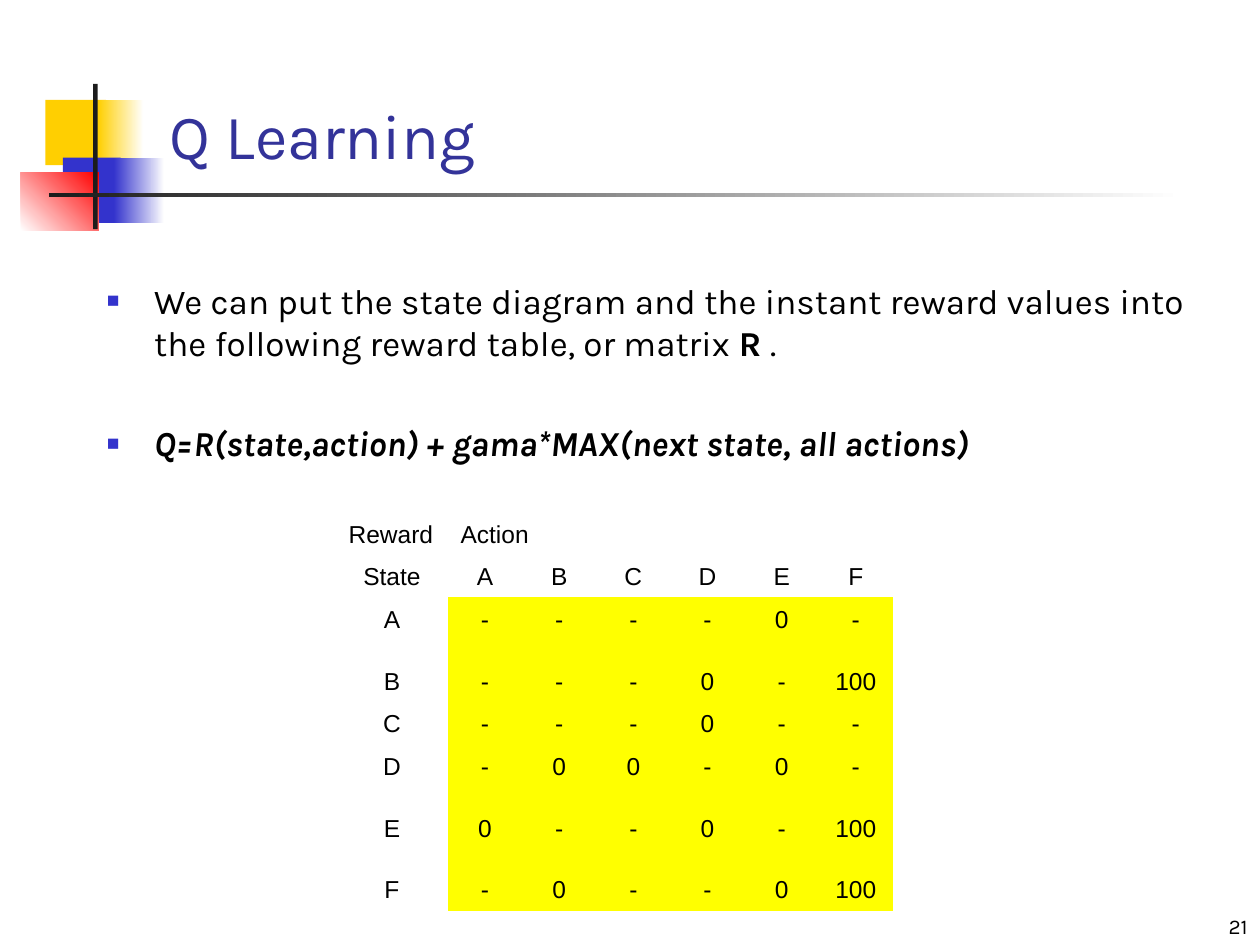
from lxml import etree
from pptx import Presentation
from pptx import util as u
from pptx.dml.color import RGBColor
from pptx.enum import shapes, text
from pptx.oxml.ns import qn


def color(value):
    return RGBColor.from_string(value)


def add_runs(paragraph, runs, size, name, value):
    for content, styles in runs:
        run = paragraph.add_run()
        run.text = content
        run.font.color.rgb = color(value)
        for key, setting in {"size": u.Pt(size), "name": name, **styles}.items():
            setattr(run.font, key, setting)


presentation = Presentation()
presentation.slide_width = u.Pt(720)
presentation.slide_height = u.Pt(540)
slide = presentation.slides.add_slide(presentation.slide_layouts[6])

decorations = [
    ((26, 57, 34.5, 37.4), ["FFCF01"], 0),
    ((56, 57, 26, 37.4), ["FFCF01", "FFFFFF"], 0),
    ((36, 90, 33, 37.4), ["3333CC"], 0),
    ((65, 90, 29, 37.4), ["3333CC", "FFFFFF"], 0),
    ((12, 98.5, 44.2, 33.4), ["FFFFFF", "FF0000"], 45),
    ((53.3, 48, 2.5, 83), ["1C1C1C"], 0),
    ((28, 110.2, 648, 2.5), ["1C1C1C", "FFFFFF"], 0),
]
for box, colors, angle in decorations:
    shape = slide.shapes.add_shape(shapes.MSO_SHAPE.RECTANGLE, *map(u.Pt, box))
    shape.shadow.inherit = False
    shape.line.fill.background()
    if len(colors) == 1:
        shape.fill.solid()
        shape.fill.fore_color.rgb = color(colors[0])
    else:
        shape.fill.gradient()
        shape.fill.gradient_angle = angle
        for stop, value in zip(shape.fill.gradient_stops, colors):
            stop.color.rgb = color(value)

labels = [
    ("21", (570, 510, 150, 30), 12, "000000", text.PP_ALIGN.RIGHT),
    ("Q Learning", (90, 54, 613.5, 48), 36, "333399", text.PP_ALIGN.LEFT),
]
for content, box, size, value, alignment in labels:
    frame = slide.shapes.add_textbox(*map(u.Pt, box)).text_frame
    frame.word_wrap = True
    frame.vertical_anchor = text.MSO_ANCHOR.BOTTOM
    frame.paragraphs[0].alignment = alignment
    add_runs(frame.paragraphs[0], [(content, {})], size, "Karla", value)

body = slide.shapes.add_textbox(*map(u.Pt, (54, 156, 636, 354))).text_frame
body.word_wrap = True
bullets = [
    [
        ("We can put the state diagram and the instant reward values into "
         "the following reward table, or matrix ", {}),
        ("R ", {"bold": True}),
        (".", {}),
    ],
    [("Q=R(state,action) + gama*MAX(next state, all actions)",
      {"bold": True, "italic": True})],
]
for index, runs in enumerate(bullets):
    paragraph = body.add_paragraph() if index else body.paragraphs[0]
    properties = paragraph._p.get_or_add_pPr()
    properties.set("marL", str(u.Pt(27)))
    properties.set("indent", str(u.Pt(-27)))
    bullet_color = etree.SubElement(properties, qn("a:buClr"))
    etree.SubElement(bullet_color, qn("a:srgbClr"), val="3333CC")
    etree.SubElement(properties, qn("a:buSzPct"), val="60000")
    etree.SubElement(properties, qn("a:buFont"), typeface="Arial")
    etree.SubElement(properties, qn("a:buChar"), char="■")
    if index:
        paragraph.space_before = u.Pt(33.5)
    add_runs(paragraph, runs, 20, "Karla", "000000")

rewards = [
    ["Reward", "Action", "", "", "", "", ""],
    ["State", "A", "B", "C", "D", "E", "F"],
    ["A", "-", "-", "-", "-", "0", "-"],
    ["B", "-", "-", "-", "0", "-", "100"],
    ["C", "-", "-", "-", "0", "-", "-"],
    ["D", "-", "0", "0", "-", "0", "-"],
    ["E", "0", "-", "-", "0", "-", "100"],
    ["F", "-", "0", "-", "-", "0", "100"],
]
row_heights = [41, 24.3, 24.3, 35.4, 24.3, 24.3, 35.4, 35.4]
column_widths = [64] + [42.4] * 6
table_frame = slide.shapes.add_table(
    len(rewards), len(column_widths), u.Pt(192), u.Pt(276),
    u.Pt(sum(column_widths)), u.Pt(sum(row_heights)))
no_grid_style = "{2D5ABB26-0587-4C30-8999-92F81FD0307C}"
table_frame._element.xpath(".//a:tableStyleId")[0].text = no_grid_style
table = table_frame.table
table.first_row = False
table.horz_banding = False
for column, width in zip(table.columns, column_widths):
    column.width = u.Pt(width)
for row, height in zip(table.rows, row_heights):
    row.height = u.Pt(height)
table.cell(0, 1).merge(table.cell(0, 2))

for row_index, values in enumerate(rewards):
    for column_index, content in enumerate(values):
        cell = table.cell(row_index, column_index)
        if row_index > 1 and column_index > 0:
            cell.fill.solid()
            cell.fill.fore_color.rgb = color("FFFF00")
        else:
            cell.fill.background()
        if content:
            cell.vertical_anchor = text.MSO_ANCHOR.BOTTOM
            paragraph = cell.text_frame.paragraphs[0]
            paragraph.alignment = text.PP_ALIGN.CENTER if row_index else text.PP_ALIGN.LEFT
            add_runs(paragraph, [(content, {})], 14, "Arial", "000000")

presentation.save("out.pptx")
